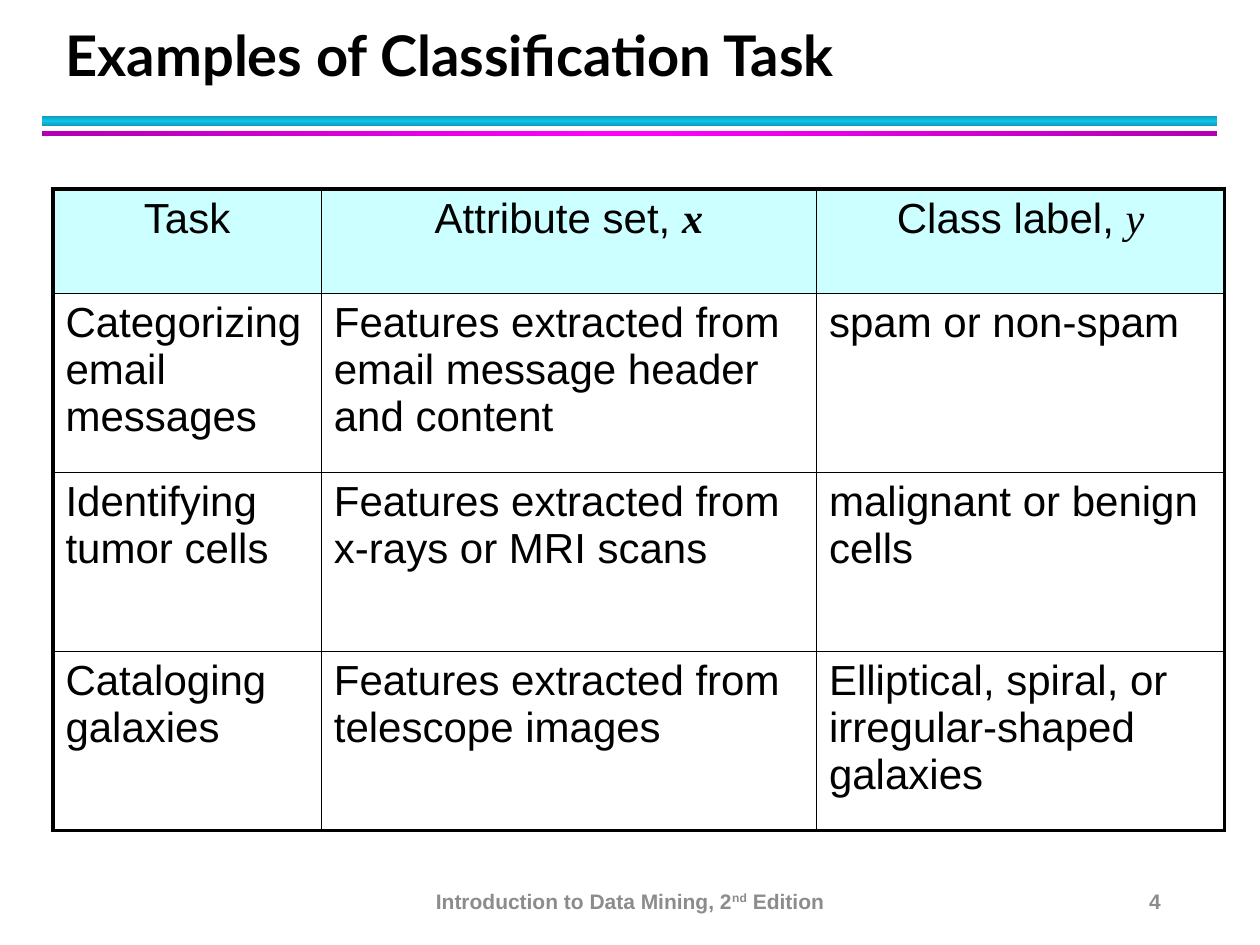
from copy import deepcopy

from lxml import etree
from pptx import Presentation
from pptx.dml.color import RGBColor
from pptx.enum.shapes import MSO_SHAPE
from pptx.enum.text import MSO_ANCHOR, MSO_AUTO_SIZE, PP_ALIGN
from pptx.oxml.ns import qn
from pptx.util import Inches, Pt

RECT = MSO_SHAPE.RECTANGLE
BOTTOM, MIDDLE = MSO_ANCHOR.BOTTOM, MSO_ANCHOR.MIDDLE
LEFT, CENTER, RIGHT = PP_ALIGN.LEFT, PP_ALIGN.CENTER, PP_ALIGN.RIGHT
NO_FIT = MSO_AUTO_SIZE.NONE

BLACK, WHITE, GRAY, HEADER = "000000", "FFFFFF", "8C8C8C", "CCFFFF"
THIN, THICK = 1, 2.25
COLS = (2.13, 3.93, 3.24)
ROWS = (0.83, 1.42, 1.42, 1.42)
HEADINGS = (("Task", ""), ("Attribute set, ", "x"), ("Class label, ", "y"))
TASKS = (
    ("Categorizing email messages",
     "Features extracted from email message header and content",
     "spam or non-spam"),
    ("Identifying tumor cells",
     "Features extracted from x-rays or MRI scans",
     "malignant or benign cells"),
    ("Cataloging galaxies",
     "Features extracted from telescope images",
     "Elliptical, spiral, or irregular-shaped galaxies"),
)


def rgb(value):
    """Return the colour for a hex string."""
    return RGBColor.from_string(value)


def inches(box):
    """Convert a left, top, width, height box to lengths."""
    return [Inches(v) for v in box]


def style(r, size, color=BLACK, name="Arial", bold=False, italic=False):
    """Format one run."""
    r.font.size, r.font.name = Pt(size), name
    r.font.bold, r.font.italic = bold, italic
    r.font.color.rgb = rgb(color)


def add_title(s, text, box):
    """Place and format the title placeholder."""
    sp = s.shapes.title
    sp.left, sp.top, sp.width, sp.height = inches(box)
    tf = sp.text_frame
    tf.text = text
    tf.auto_size, tf.vertical_anchor = NO_FIT, BOTTOM
    p = tf.paragraphs[0]
    p.alignment, p.line_spacing = LEFT, Pt(36)
    style(p.runs[0], 32, name="Lato", bold=True)


def add_band(s, box, edge, middle, angle):
    """Draw a bar whose colour runs from edge to middle and back."""
    sp = s.shapes.add_shape(RECT, *inches(box))
    sp.shadow.inherit = False
    sp.line.fill.background()
    sp.fill.gradient()
    sp.fill.gradient_angle = angle
    stops = sp._element.spPr.find(".//" + qn("a:gsLst"))
    stops.insert(1, deepcopy(stops[0]))
    for i, (stop, color) in enumerate(zip(sp.fill.gradient_stops, (edge, middle, edge))):
        stop.position = i / 2
        stop.color.rgb = rgb(color)


def add_rules(s, box):
    """Draw the two bars under the title."""
    x, y, w, h = box
    add_band(s, (x, y, w, h / 2), "0E9BBA", "12C2E9", 90)
    add_band(s, (x, y + h * 0.75, w, h / 4), "B200B2", "FF00FF", 0)


def set_borders(cell, widths):
    """Give a cell black left, right, top and bottom borders."""
    tc_pr = cell._tc.get_or_add_tcPr()
    for i, (side, width) in enumerate(zip("LRTB", widths)):
        ln = etree.Element(qn("a:ln" + side), w=str(Pt(width)))
        fill = etree.SubElement(ln, qn("a:solidFill"))
        etree.SubElement(fill, qn("a:srgbClr"), val=BLACK)
        tc_pr.insert(i, ln)


def add_task_table(s, left, top):
    """Build the table of tasks with a heavy outer frame."""
    last_row, last_col = len(ROWS) - 1, len(COLS) - 1
    table = s.shapes.add_table(len(ROWS), len(COLS), *inches(
        (left, top, sum(COLS), sum(ROWS)))).table
    for column, width in zip(table.columns, COLS):
        column.width = Inches(width)
    for row, height in zip(table.rows, ROWS):
        row.height = Inches(height)
    body = [[(text, "") for text in task] for task in TASKS]
    for i, row in enumerate([HEADINGS, *body]):
        for j, (text, symbol) in enumerate(row):
            cell = table.cell(i, j)
            cell.fill.solid()
            cell.fill.fore_color.rgb = rgb(WHITE if i else HEADER)
            outer = (j == 0, j == last_col, i == 0, i == last_row)
            set_borders(cell, [THICK if edge else THIN for edge in outer])
            cell.text_frame.text = text
            p = cell.text_frame.paragraphs[0]
            p.alignment = LEFT if i else CENTER
            p.space_before, p.space_after = Pt(2.4), Pt(4)
            style(p.runs[0], 24)
            if symbol:
                r = p.add_run()
                r.text = symbol
                style(r, 24, name="Times New Roman", bold=symbol == "x", italic=True)


def add_footer_text(s, box, parts, align):
    """Place a footer line; every second part is superscript."""
    tf = s.shapes.add_textbox(*inches(box)).text_frame
    tf.word_wrap, tf.vertical_anchor = True, MIDDLE
    p = tf.paragraphs[0]
    p.alignment = align
    for i, part in enumerate(parts):
        r = p.add_run()
        r.text = part
        style(r, 12, GRAY, bold=True)
        if i % 2:
            r.font._element.set("baseline", "30000")


def main():
    """Build and save the slide."""
    prs = Presentation()
    prs.slide_width, prs.slide_height = Inches(10), Inches(7.5)
    s = prs.slides.add_slide(prs.slide_layouts[5])
    add_rules(s, (0.33, 0.92, 9.33, 0.16))
    add_title(s, "Examples of Classification Task", (0.42, 0.17, 9.06, 0.58))
    add_task_table(s, 0.42, 1.5)
    add_footer_text(s, (3.31, 6.95, 3.38, 0.4),
                    ("Introduction to Data Mining, 2", "nd", " Edition"), CENTER)
    add_footer_text(s, (7.06, 6.95, 2.25, 0.4), ("4",), RIGHT)
    prs.save("out.pptx")


if __name__ == "__main__":
    main()
